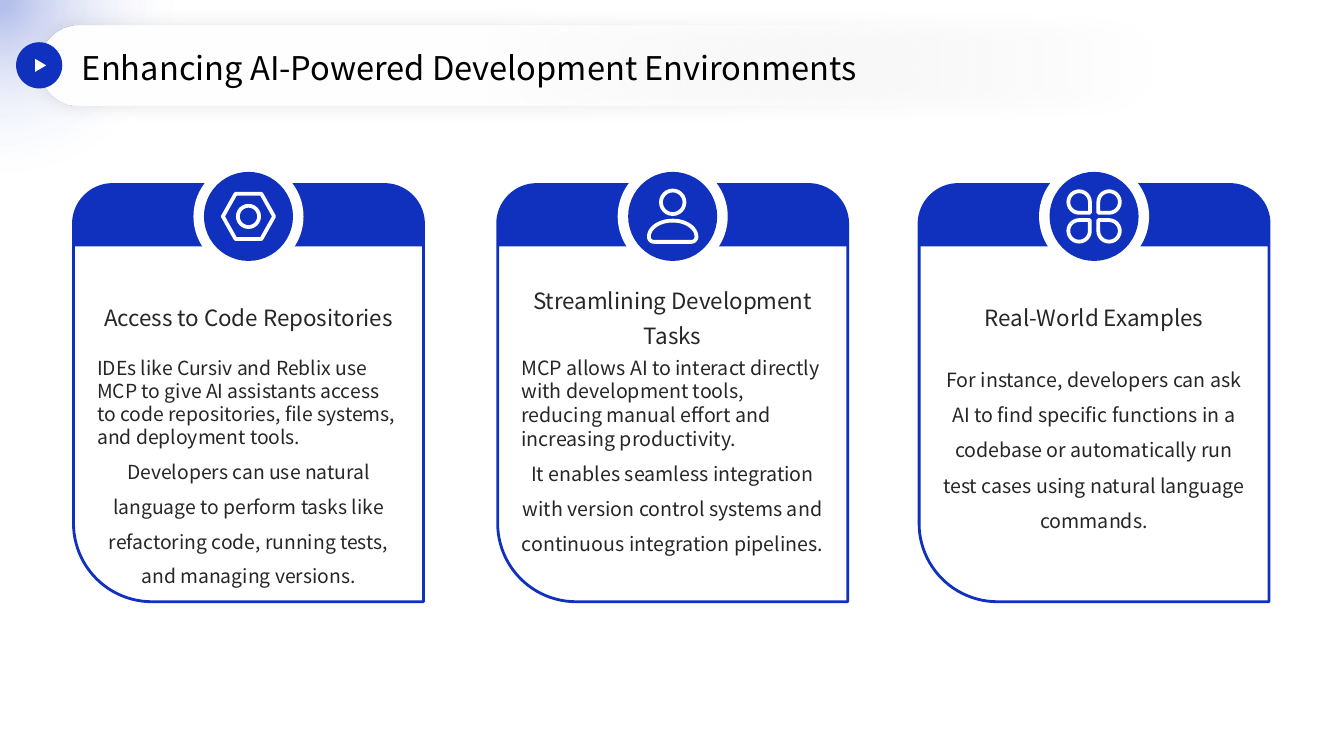
from math import cos, radians, sin

from lxml import etree
from pptx import Presentation
from pptx.dml.color import RGBColor
from pptx.enum.shapes import MSO_SHAPE
from pptx.enum.text import MSO_ANCHOR, MSO_AUTO_SIZE, PP_ALIGN
from pptx.oxml.ns import qn
from pptx.util import Pt

OVAL = MSO_SHAPE.OVAL
PILL = MSO_SHAPE.ROUNDED_RECTANGLE
HEXAGON = MSO_SHAPE.HEXAGON
TEAR = MSO_SHAPE.TEAR
TRIANGLE = MSO_SHAPE.ISOSCELES_TRIANGLE
TOP, MIDDLE = MSO_ANCHOR.TOP, MSO_ANCHOR.MIDDLE
LEFT, CENTER = PP_ALIGN.LEFT, PP_ALIGN.CENTER

FONT = "Noto Sans CJK SC"
BLUE, WHITE, BLACK, GREY = "0F31BE", "FFFFFF", "000000", "262626"

TITLE = "Enhancing AI-Powered Development Environments"
CARDS = [
    (52.5, "Access to Code Repositories", 13.8, [
        ("IDEs like Cursiv and Reblix use MCP to give AI assistants access to code "
         "repositories, file systems, and deployment tools.", LEFT, 1),
        ("Developers can use natural language to perform tasks like refactoring code, "
         "running tests, and managing versions.", CENTER, 1.5),
    ]),
    (355.5, "Streamlining Development Tasks", 14, [
        ("MCP allows AI to interact directly with development tools, reducing manual "
         "effort and increasing productivity.", LEFT, 1),
        ("It enables seamless integration with version control systems and continuous "
         "integration pipelines.", CENTER, 1.5),
    ]),
    (656.5, "Real-World Examples", 14, [
        ("For instance, developers can ask AI to find specific functions in a codebase "
         "or automatically run test cases using natural language commands.", CENTER, 1.5),
    ]),
]
CARD_TOP, CARD_W, CARD_H, BAND_H = 131.8, 250, 298, 44.2
CORNER, BIG_CORNER = 28, 56
TEXT_W, ICON_Y, STROKE = 216, 154.6, 2.7

prs = Presentation()
prs.slide_width, prs.slide_height = Pt(960), Pt(540)
s = prs.slides.add_slide(prs.slide_layouts[5])


def rgb(value):
    return RGBColor.from_string(value)


def paint(sp, fill=None, line=None, width=0):
    sp.shadow.inherit = False
    if fill:
        sp.fill.solid()
        sp.fill.fore_color.rgb = rgb(fill)
    else:
        sp.fill.background()
    if line:
        sp.line.color.rgb = rgb(line)
        sp.line.width = Pt(width)
    else:
        sp.line.fill.background()
    return sp


def centred(kind, cx, cy, w, h):
    return s.shapes.add_shape(kind, Pt(cx - w / 2), Pt(cy - h / 2), Pt(w), Pt(h))


def arc(cx, cy, rx, ry, start, sweep=90, steps=24):
    angles = [radians(start + sweep * i / steps) for i in range(steps + 1)]
    return [(cx + rx * cos(a), cy + ry * sin(a)) for a in angles]


def outline(points):
    points = [(Pt(x), Pt(y)) for x, y in points]
    builder = s.shapes.build_freeform(*points[0], scale=1.0)
    builder.add_line_segments(points[1:], close=True)
    return builder.convert_to_shape()


def write(sp, paragraphs, size, color, anchor):
    tf = sp.text_frame
    tf.word_wrap = True
    tf.auto_size = MSO_AUTO_SIZE.NONE
    tf.vertical_anchor = anchor
    tf.margin_left = tf.margin_right = tf.margin_top = tf.margin_bottom = 0
    for i, (text, align, spacing) in enumerate(paragraphs):
        p = tf.add_paragraph() if i else tf.paragraphs[0]
        p.text = text
        p.alignment = align
        p.line_spacing = spacing
        p.space_before = p.space_after = Pt(0)
        font = p.runs[0].font
        font.name, font.size = FONT, Pt(size)
        font.color.rgb = rgb(color)


def text_box(x, y, w, h, *text):
    write(s.shapes.add_textbox(Pt(x), Pt(y), Pt(w), Pt(h)), *text)


def color_node(parent, color, alpha):
    node = etree.SubElement(parent, qn("a:srgbClr"), val=color)
    etree.SubElement(node, qn("a:alpha"), val=str(alpha * 1000))


def gradient(sp, stops, angle=None):
    paint(sp)
    spPr = sp._element.spPr
    old = spPr.find(qn("a:noFill"))
    grad = etree.Element(qn("a:gradFill"), rotWithShape="1")
    stop_list = etree.SubElement(grad, qn("a:gsLst"))
    for position, color, alpha in stops:
        stop = etree.SubElement(stop_list, qn("a:gs"), pos=str(position * 1000))
        color_node(stop, color, alpha)
    if angle is None:
        centre = etree.SubElement(grad, qn("a:path"), path="circle")
        etree.SubElement(centre, qn("a:fillToRect"), l="50000", t="50000", r="50000", b="50000")
    else:
        etree.SubElement(grad, qn("a:lin"), ang=str(angle * 60000), scaled="0")
    spPr.replace(old, grad)


def glow(sp, color, alpha, blur):
    effects = sp._element.spPr.find(qn("a:effectLst"))
    shadow = etree.SubElement(effects, qn("a:outerShdw"), blurRad=str(Pt(blur)),
                              dist="0", dir="0", algn="ctr", rotWithShape="0")
    color_node(shadow, color, alpha)


def nut_icon(cx, cy):
    nut = centred(HEXAGON, cx, cy, 36.6, 32.4)
    nut.adjustments[0] = 0.28
    return [nut, centred(OVAL, cx, cy, 15.2, 15.2)]


def person_icon(cx, cy):
    base = cy + 14.5
    body = (arc(cx, base, 17, 11.5, 180, 180) + arc(cx + 13.3, base, 3.7, 3.7, 0)
            + arc(cx - 13.3, base, 3.7, 3.7, 90))
    return [centred(OVAL, cx, cy - 10.1, 16.8, 16.8), outline(body)]


def clover_icon(cx, cy):
    petals = []
    for dx, dy, turn in [(-1, -1, 90), (1, -1, 180), (1, 1, 270), (-1, 1, 0)]:
        petal = centred(TEAR, cx + dx * 10.7, cy + dy * 10.3, 15.4, 15.4)
        petal.rotation = turn
        petals.append(petal)
    return petals


for (x, heading, size, body), icon in zip(CARDS, [nut_icon, person_icon, clover_icon]):
    right, bottom, cx = x + CARD_W, CARD_TOP + CARD_H, x + CARD_W / 2
    shoulder = CARD_TOP + CORNER
    crown = (arc(x + CORNER, shoulder, CORNER, CORNER, 180)
             + arc(right - CORNER, shoulder, CORNER, CORNER, 270))
    foot = arc(x + BIG_CORNER, bottom - BIG_CORNER, BIG_CORNER, BIG_CORNER, 90)
    paint(outline(crown + [(right, bottom)] + foot), WHITE, BLUE, 2)
    band_bottom = CARD_TOP + BAND_H
    paint(outline(crown + [(right, band_bottom), (x, band_bottom)]), BLUE)
    for diameter, color in [(78.6, WHITE), (63.6, BLUE)]:
        paint(centred(OVAL, cx, ICON_Y, diameter, diameter), color)
    for part in icon(cx, ICON_Y):
        paint(part, line=WHITE, width=STROKE)
    left = cx - TEXT_W / 2
    text_box(left, 196.6, TEXT_W, 55.4, [(heading, CENTER, 1.3)], 16, GREY, MIDDLE)
    text_box(left, 254.2, TEXT_W, 165.6, body, size, GREY, TOP)

corner_light = centred(OVAL, 0, 0, 259.2, 259.2)
gradient(corner_light, [(4, BLUE, 30), (72, WHITE, 0)])

title_bar = s.shapes.add_shape(PILL, Pt(28), Pt(18), Pt(798), Pt(57))
title_bar.adjustments[0] = 0.5
gradient(title_bar, [(0, WHITE, 0), (60, WHITE, 100)], 180)
glow(title_bar, BLACK, 10, 13)

title = s.shapes.title
title.left, title.top, title.width, title.height = Pt(58.5), Pt(29.5), Pt(588), Pt(34)
write(title, [(TITLE, LEFT, 1.1)], 23.3, BLACK, MIDDLE)
title._element.getparent().append(title._element)

paint(centred(OVAL, 28, 46.7, 33, 33), BLUE)
play = paint(centred(TRIANGLE, 29, 46.7, 9.4, 8), WHITE)
play.rotation = 90

prs.save("out.pptx")
